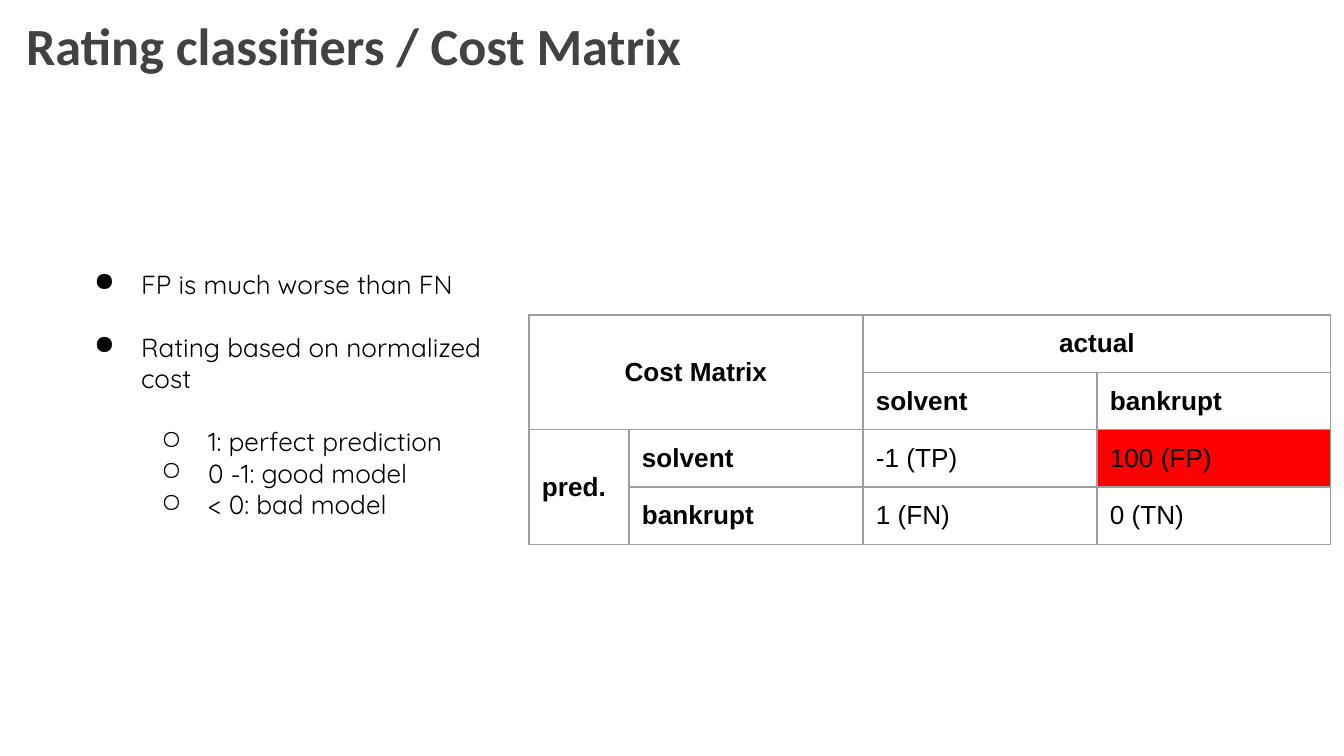
import lxml.etree
import pptx
import pptx.dml.color
import pptx.enum.text
import pptx.oxml.ns
import pptx.util

PX = 914400 / 134.4  # EMU in one px
PAD = 13

BLACK = pptx.dml.color.RGBColor(0x00, 0x00, 0x00)
DARK_GRAY = pptx.dml.color.RGBColor(0x42, 0x42, 0x42)
GRAY = pptx.dml.color.RGBColor(0x9E, 0x9E, 0x9E)
RED = pptx.dml.color.RGBColor(0xFF, 0x00, 0x00)

TITLE = {"name": "Calibri", "size": pptx.util.Pt(28), "bold": True}
BODY = {"name": "Quicksand", "size": pptx.util.Pt(14), "bold": False}
CELL = {"name": "Arial", "size": pptx.util.Pt(14), "bold": False}
HEAD = {**CELL, "bold": True}

LEFT = pptx.enum.text.PP_ALIGN.LEFT
CENTER = pptx.enum.text.PP_ALIGN.CENTER
MARGINS = ("margin_left", "margin_top", "margin_right", "margin_bottom")


def emu(px):
    return pptx.util.Emu(round(px * PX))


def set_margins(target):
    for name in MARGINS:
        setattr(target, name, emu(PAD))


def sub(parent, tag, **attrs):
    return lxml.etree.SubElement(parent, pptx.oxml.ns.qn(tag), attrs)


def add_run(p, text, font, color=BLACK):
    r = p.add_run()
    r.text = text
    for name, value in font.items():
        setattr(r.font, name, value)
    r.font.color.rgb = color


def add_text_frame(s, box):
    tf = s.shapes.add_textbox(*map(emu, box)).text_frame
    tf.word_wrap = True
    set_margins(tf)
    return tf


def add_title(s, box, text):
    tf = add_text_frame(s, box)
    add_run(tf.paragraphs[0], text, TITLE, DARK_GRAY)


def add_bullets(s, box, items):
    """Items are (level, text, space before in points)."""
    tf = add_text_frame(s, box)
    for i, (level, text, gap) in enumerate(items):
        p = tf.add_paragraph() if i else tf.paragraphs[0]
        p.level = level
        p.space_before = pptx.util.Pt(gap)
        add_run(p, text, BODY)
        pPr = p._p.get_or_add_pPr()
        pPr.set("marL", str(emu(67 * (level + 1))))
        pPr.set("indent", str(emu(-47)))
        sub(sub(pPr, "a:buClr"), "a:srgbClr", val=str(BLACK))
        sub(pPr, "a:buChar", char="●○"[level])


def add_borders(cell):
    tcPr = cell._tc.get_or_add_tcPr()
    for side in "LRTB":
        ln = sub(tcPr, f"a:ln{side}", w=str(pptx.util.Pt(0.75)))
        sub(sub(ln, "a:solidFill"), "a:srgbClr", val=str(GRAY))


def add_cost_matrix(s, box, col_widths):
    rows = [
        ["Cost Matrix", "", "actual", ""],
        ["", "", "solvent", "bankrupt"],
        ["pred.", "solvent", "-1 (TP)", "100 (FP)"],
        ["", "bankrupt", "1 (FN)", "0 (TN)"],
    ]
    merges = [((0, 0), (1, 1)), ((0, 2), (0, 3)), ((2, 0), (3, 0))]
    height = box[3]
    table = s.shapes.add_table(len(rows), len(col_widths), *map(emu, box)).table
    table.first_row = table.horz_banding = False
    for col, width in zip(table.columns, col_widths):
        col.width = emu(width)
    for row in table.rows:
        row.height = emu(height / len(rows))
    for i, texts in enumerate(rows):
        for j, text in enumerate(texts):
            cell = table.cell(i, j)
            set_margins(cell)
            add_borders(cell)
            cell.vertical_anchor = pptx.enum.text.MSO_ANCHOR.MIDDLE
            if text == "100 (FP)":
                cell.fill.solid()
                cell.fill.fore_color.rgb = RED
            else:
                cell.fill.background()
            if text:
                p = cell.text_frame.paragraphs[0]
                p.alignment = CENTER if i == 0 else LEFT
                add_run(p, text, HEAD if i < 2 or j < 2 else CELL)
    for first, last in merges:
        table.cell(*first).merge(table.cell(*last))


def main():
    prs = pptx.Presentation()
    prs.slide_width, prs.slide_height = emu(1344), emu(756)
    s = prs.slides.add_slide(prs.slide_layouts[6])
    add_title(s, (13, 0, 1034, 146), "Rating classifiers / Cost Matrix")
    add_cost_matrix(s, (529, 315, 802, 224), (100, 234, 234, 234))
    add_bullets(s, (61, 255, 448, 378), [
        (0, "FP is much worse than FN", 0),
        (0, "Rating based on normalized cost", 17),
        (1, "1: perfect prediction", 17),
        (1, "0 -1: good model", 0),
        (1, "< 0: bad model", 0),
    ])
    prs.save("out.pptx")


if __name__ == "__main__":
    main()
